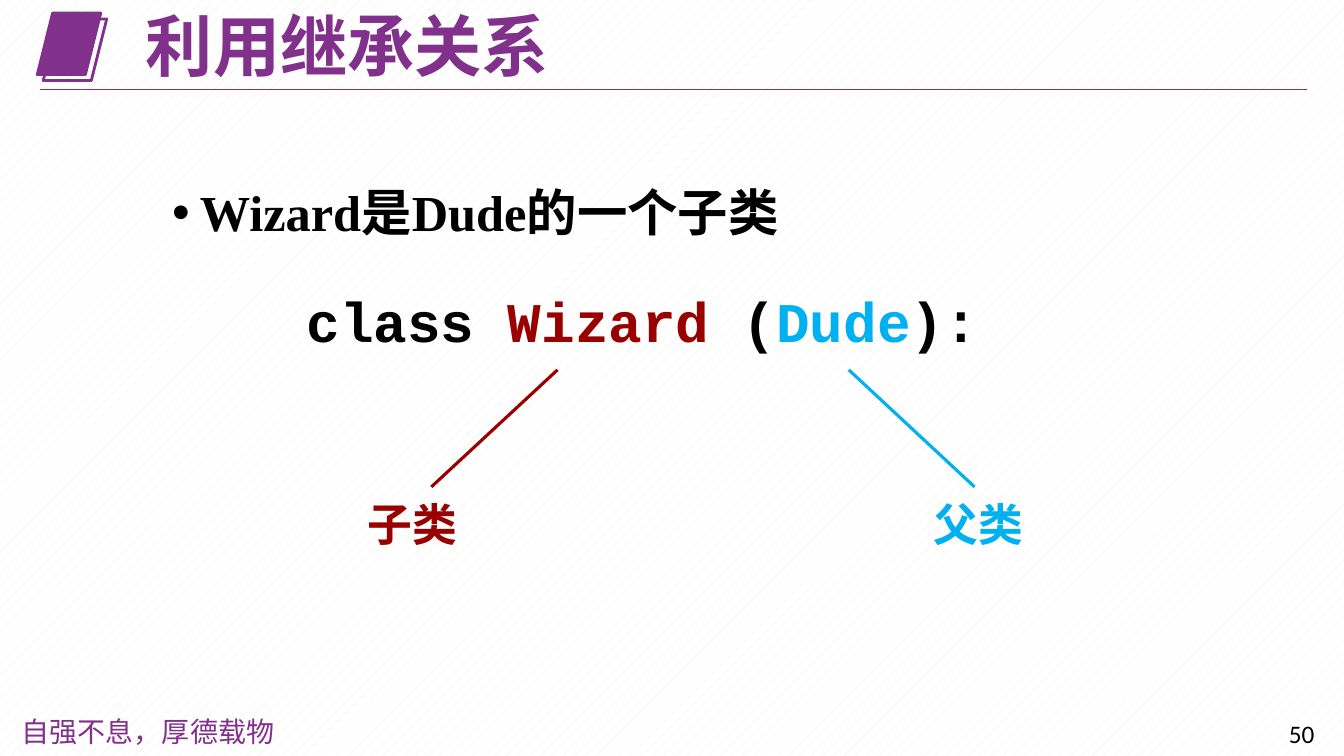
"""Build the slide on using inheritance: Wizard as a subclass of Dude."""
from dataclasses import dataclass

import pptx
import pptx.dml.color
import pptx.enum.dml
import pptx.enum.shapes
import pptx.enum.text
import pptx.oxml.ns
import pptx.util
from lxml import etree

Cm = pptx.util.Cm
Pt = pptx.util.Pt
PURPLE = "81308C"
BLACK = "000000"
CHILD_RED = "990000"
PARENT_BLUE = "00B0F0"
HAN_FONT = "Noto Sans CJK SC"


@dataclass
class Caption:
    text: str
    left: float
    top: float
    width: float
    height: float
    size: float
    color: str
    font: str = HAN_FONT
    bold: bool = True
    middle: bool = False


@dataclass
class Stroke:
    x1: float
    y1: float
    x2: float
    y2: float
    color: str
    weight: float


CAPTIONS = [
    Caption("自强不息，厚德载物", 0.3, 17.88, 7.06, 1.12, 20, PURPLE, "Noto Sans CJK JP", False),
    Caption("50", 32.23, 17.98, 1.55, 1.02, 18, BLACK, "Calibri", False),
    Caption("利用继承关系", 3.43, 0.28, 17.83, 1.93, 48, PURPLE, middle=True),
    Caption("子类", 9.02, 12.4, 3.28, 1.63, 32, CHILD_RED),
    Caption("父类", 23.27, 12.4, 3.84, 1.63, 32, PARENT_BLUE),
]
STROKES = [
    Stroke(1.02, 2.26, 32.94, 2.26, PURPLE, 0.75),
    Stroke(14.05, 9.32, 10.87, 12.27, CHILD_RED, 2.25),
    Stroke(21.39, 9.32, 24.56, 12.27, PARENT_BLUE, 2.25),
]
CODE = [
    ("    class ", BLACK),
    ("Wizard", CHILD_RED),
    (" (", BLACK),
    ("Dude", PARENT_BLUE),
    ("):", BLACK),
]


def rgb(value: str) -> pptx.dml.color.RGBColor:
    return pptx.dml.color.RGBColor.from_string(value)


def add_child(parent, tag: str, **attributes: str) -> None:
    etree.SubElement(parent, pptx.oxml.ns.qn(tag), attributes)


def add_frame(slide, left: float, top: float, width: float, height: float):
    frame = slide.shapes.add_textbox(Cm(left), Cm(top), Cm(width), Cm(height)).text_frame
    frame.word_wrap = True
    return frame


def add_han_run(paragraph, text: str, font: str) -> None:
    run = paragraph.add_run()
    run.text = text
    add_child(run.font._element, "a:ea", typeface=font)


def style(paragraph, size: float, font: str, bold: bool) -> None:
    paragraph.font.size = Pt(size)
    paragraph.font.name = font
    paragraph.font.bold = bold


def draw_caption(slide, caption: Caption) -> None:
    frame = add_frame(slide, caption.left, caption.top, caption.width, caption.height)
    paragraph = frame.paragraphs[0]
    if caption.middle:
        frame.vertical_anchor = pptx.enum.text.MSO_ANCHOR.MIDDLE
        paragraph.line_spacing = 0.9
    add_han_run(paragraph, caption.text, caption.font)
    style(paragraph, caption.size, caption.font, caption.bold)
    paragraph.font.color.rgb = rgb(caption.color)


def draw_stroke(slide, stroke: Stroke) -> None:
    connector = slide.shapes.add_connector(
        pptx.enum.shapes.MSO_CONNECTOR.STRAIGHT,
        Cm(stroke.x1), Cm(stroke.y1), Cm(stroke.x2), Cm(stroke.y2),
    )
    connector.line.color.rgb = rgb(stroke.color)
    connector.line.width = Pt(stroke.weight)
    add_child(connector._element.spPr, "a:effectLst")


def draw_emblem(slide) -> None:
    for left, top, filled in ((0.94, 0.33, True), (1.09, 0.48, False)):
        page = slide.shapes.add_shape(
            pptx.enum.shapes.MSO_SHAPE.PARALLELOGRAM, Cm(left), Cm(top), Cm(1.6), Cm(1.55)
        )
        page.shadow.inherit = False
        page.line.color.rgb = rgb(PURPLE)
        page.line.width = Pt(2)
        if filled:
            page.fill.solid()
            page.fill.fore_color.rgb = rgb(PURPLE)
        else:
            page.fill.background()


def draw_explanation(slide) -> None:
    frame = add_frame(slide, 4.09, 4.45, 22.23, 5.89)
    statement = frame.paragraphs[0]
    properties = statement._p.get_or_add_pPr()
    properties.set("marL", str(Cm(0.7)))
    properties.set("indent", str(-Cm(0.7)))
    add_child(properties, "a:buFont", typeface="Arial")
    add_child(properties, "a:buChar", char="•")
    add_han_run(statement, "Wizard是Dude的一个子类", HAN_FONT)
    style(statement, 36, "Times New Roman", True)
    statement.font.color.rgb = rgb(BLACK)

    declaration = frame.add_paragraph()
    declaration.space_before = Pt(32)
    for text, color in CODE:
        token = declaration.add_run()
        token.text = text
        token.font.color.rgb = rgb(color)
    style(declaration, 40, "Courier New", True)


def main() -> None:
    deck = pptx.Presentation()
    deck.slide_width, deck.slide_height = Cm(33.87), Cm(19.05)
    slide = deck.slides.add_slide(deck.slide_layouts[6])
    backdrop = slide.background.fill
    backdrop.patterned()
    backdrop.pattern = pptx.enum.dml.MSO_PATTERN.PERCENT_10
    backdrop.fore_color.rgb = rgb("EEECE1")
    backdrop.back_color.rgb = rgb("FFFFFF")
    draw_emblem(slide)
    draw_explanation(slide)
    for stroke in STROKES:
        draw_stroke(slide, stroke)
    for caption in CAPTIONS:
        draw_caption(slide, caption)
    deck.save("out.pptx")


if __name__ == "__main__":
    main()
